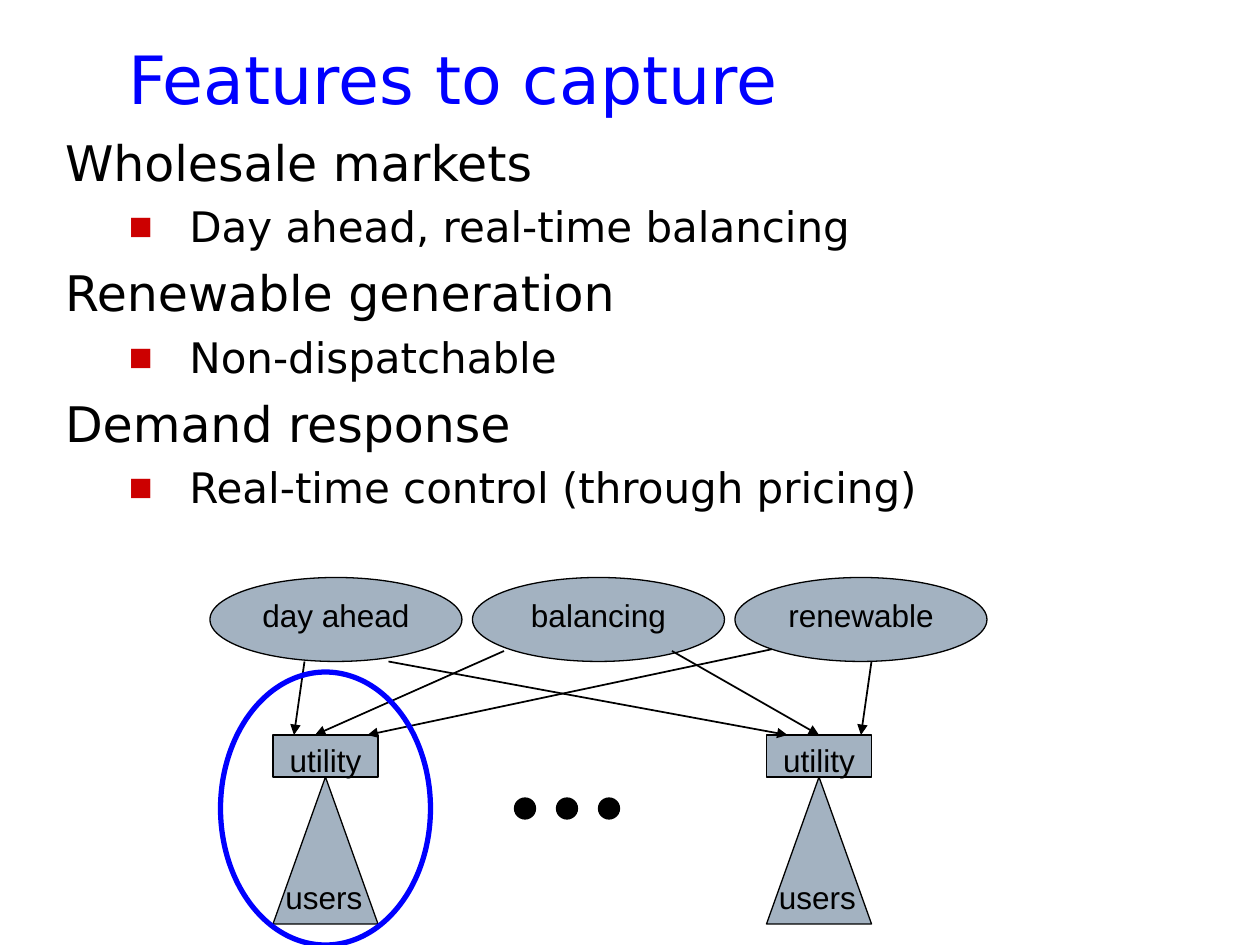
from lxml.etree import SubElement
from pptx import Presentation
from pptx.dml.color import RGBColor
from pptx.enum.shapes import MSO_CONNECTOR, MSO_SHAPE
from pptx.enum.text import MSO_ANCHOR, MSO_AUTO_SIZE, PP_ALIGN
from pptx.oxml.ns import qn
from pptx.util import Pt

BLACK = RGBColor(0x00, 0x00, 0x00)
BLUE = RGBColor(0x00, 0x00, 0xFF)
RED = RGBColor(0xCC, 0x00, 0x00)
GREY = RGBColor(0xA3, 0xB2, 0xC1)

HEAD_FONT = "DejaVu Sans"
LABEL = {"name": "Arial", "size": Pt(18)}
LEVELS = [  # text size, space before, left margin, hanging indent
    {"size": 28, "before": 6.5, "margin": 37, "indent": -37},
    {"size": 24, "before": 5.6, "margin": 71, "indent": -34.5},
]


class Deck:
    """Holds the style and the slide being built."""

    def __init__(self, prs):
        self.s = prs.slides.add_slide(prs.slide_layouts[1])

    def add_text(self, p, text, color=BLACK, **font):
        r = p.add_run()
        r.text = text
        for name, value in font.items():
            setattr(r.font, name, value)
        r.font.color.rgb = color

    def place(self, sp, *box):
        for name, value in zip(("left", "top", "width", "height"), box):
            setattr(sp, name, Pt(value))
        frame = {"word_wrap": True, "auto_size": MSO_AUTO_SIZE.NONE,
                 "vertical_anchor": MSO_ANCHOR.TOP}
        for name, value in frame.items():
            setattr(sp.text_frame, name, value)

    def title(self, text, *box):
        sp = self.s.shapes.title
        self.place(sp, *box)
        p = sp.text_frame.paragraphs[0]
        p.alignment = PP_ALIGN.LEFT
        self.add_text(p, text, BLUE, name=HEAD_FONT, size=Pt(38))

    def bullet(self, p, level):
        style = LEVELS[level]
        pPr = p._p.get_or_add_pPr()
        pPr.set("marL", str(Pt(style["margin"])))
        pPr.set("indent", str(Pt(style["indent"])))
        if level == 0:
            SubElement(pPr, qn("a:buNone"))
            return
        SubElement(SubElement(pPr, qn("a:buClr")), qn("a:srgbClr"), val=str(RED))
        SubElement(pPr, qn("a:buSzPct"), val="60000")
        SubElement(pPr, qn("a:buFont"), typeface=HEAD_FONT)
        SubElement(pPr, qn("a:buChar"), char="■")

    def body(self, items, *box):
        sp = self.s.placeholders[1]
        self.place(sp, *box)
        tf = sp.text_frame
        for i, (level, text) in enumerate(items):
            p = tf.add_paragraph() if i else tf.paragraphs[0]
            p.level = level
            self.bullet(p, level)
            p.space_before = Pt(LEVELS[level]["before"] if i else 0)
            self.add_text(p, text, name=HEAD_FONT, size=Pt(LEVELS[level]["size"]))

    def shape(self, kind, *box, text="", fill=GREY, line=BLACK, weight=0.75, parent=None):
        sp = (parent or self.s).shapes.add_shape(kind, *map(Pt, box))
        sp.shadow.inherit = False
        if fill is None:
            sp.fill.background()
        else:
            sp.fill.solid()
            sp.fill.fore_color.rgb = fill
        sp.line.color.rgb = line
        sp.line.width = Pt(weight)
        if text:
            tf = sp.text_frame
            tf.vertical_anchor = MSO_ANCHOR.TOP
            tf.paragraphs[0].alignment = PP_ALIGN.CENTER
            self.add_text(tf.paragraphs[0], text, **LABEL)
        return sp

    def label(self, text, *box, parent):
        tf = parent.shapes.add_textbox(*map(Pt, box)).text_frame
        tf.word_wrap = False
        tf.auto_size = MSO_AUTO_SIZE.SHAPE_TO_FIT_TEXT
        self.add_text(tf.paragraphs[0], text, **LABEL)

    def utility(self, x, y):
        """A utility box above its triangle of users; returns the box."""
        group = self.s.shapes.add_group_shape()
        box = self.shape(MSO_SHAPE.RECTANGLE, x, y, 60, 24, text="utility", parent=group)
        self.shape(MSO_SHAPE.ISOSCELES_TRIANGLE, x, y + 24, 60, 84, parent=group)
        self.label("users", x, y + 78, 59, 29, parent=group)
        return box

    def arrow(self, *ends, target=None):
        c = self.s.shapes.add_connector(MSO_CONNECTOR.STRAIGHT, *map(Pt, ends))
        if target is not None:
            c.end_connect(target, 0)
        c.line.color.rgb = BLACK
        c.line.width = Pt(1)
        SubElement(c.line._get_or_add_ln(), qn("a:tailEnd"), type="triangle")
        SubElement(c._element.spPr, qn("a:effectLst"))


def main():
    prs = Presentation()
    prs.slide_width, prs.slide_height = Pt(720), Pt(540)
    deck = Deck(prs)

    # Title and feature list
    deck.title("Features to capture", 66, 18, 636, 66)
    deck.body([
        (0, "Wholesale markets"),
        (1, "Day ahead, real-time balancing"),
        (0, "Renewable generation"),
        (1, "Non-dispatchable"),
        (0, "Demand response"),
        (1, "Real-time control (through pricing)"),
    ], 30, 72, 666, 426)

    # Energy sources
    for i, source in enumerate(("day ahead", "balancing", "renewable")):
        deck.shape(MSO_SHAPE.OVAL, 120 + 150 * i, 330, 144, 48, text=source)

    # Utilities with their users
    top = 420
    deck.utility(156, top)
    right = deck.utility(438, top)

    # Arrows from each source to both utilities
    for x1, y1, x2, target in (
        (174, 378, 168, None), (288, 372, 180, None), (441, 371, 210, None),
        (222, 378, 450, None), (384, 372, 468, right), (498, 378, 492, None),
    ):
        deck.arrow(x1, y1, x2, top, target=target)

    # Dots for further utilities
    for i in range(3):
        deck.shape(MSO_SHAPE.OVAL, 294 + 24 * i, 456, 12, 12, fill=BLACK)

    # Ring around the first utility
    deck.shape(MSO_SHAPE.OVAL, 126, 384, 120, 156, fill=None, line=BLUE, weight=3)

    prs.save("out.pptx")


if __name__ == "__main__":
    main()
